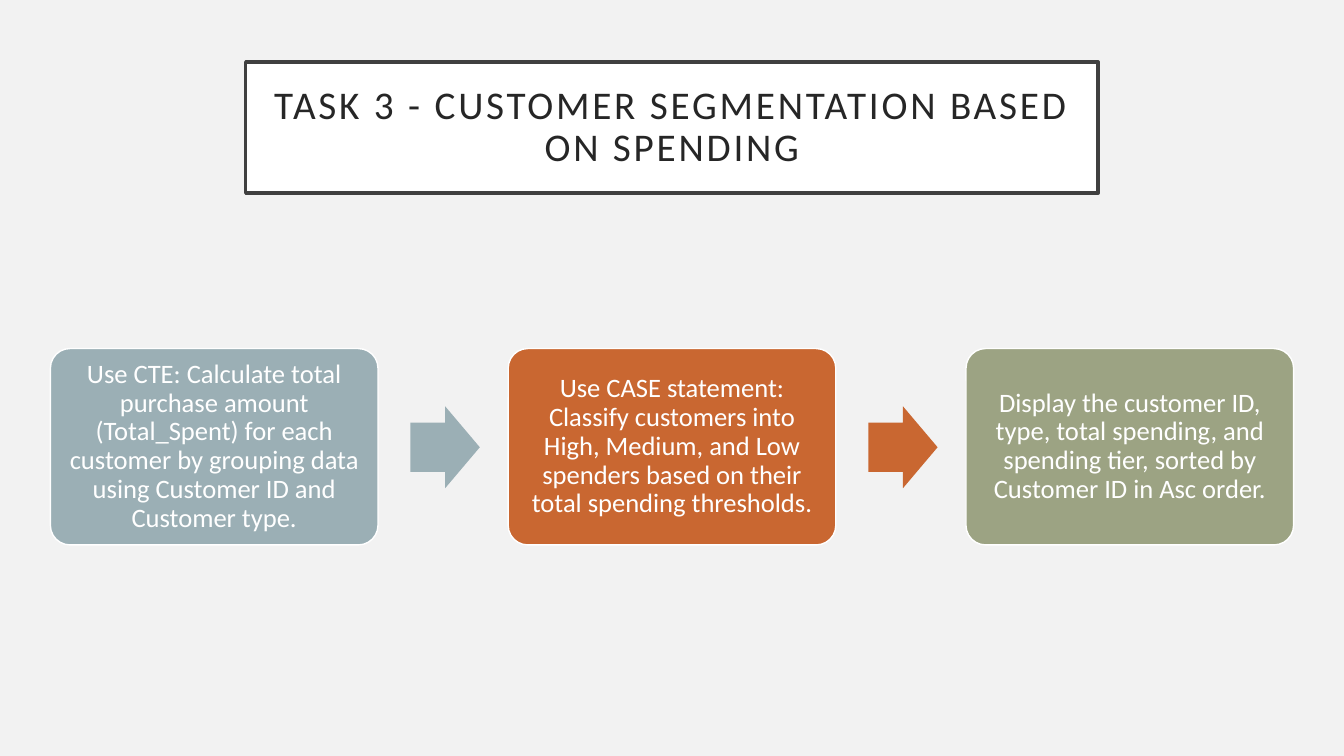
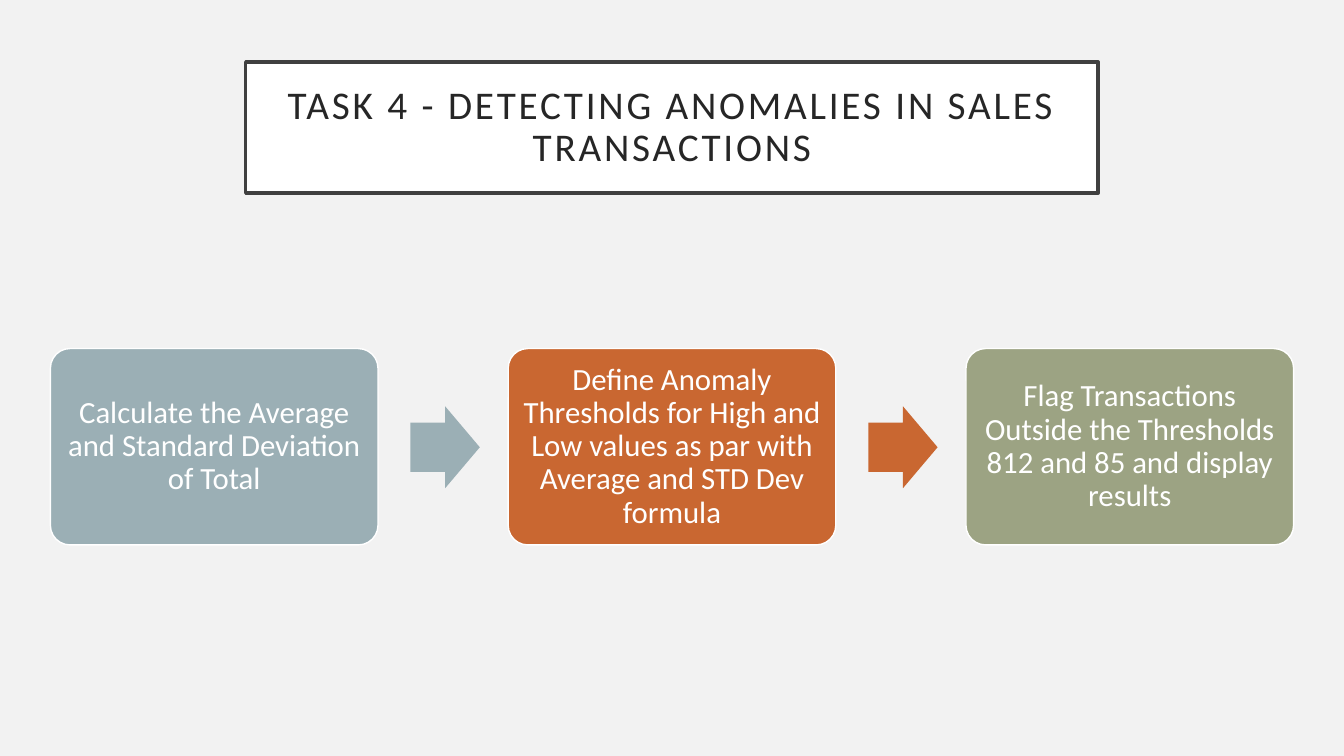
"""Build two task slides, each a framed title over a three-step process."""
from pptx import Presentation
from pptx.dml.color import RGBColor
from pptx.enum.shapes import MSO_SHAPE as Preset
from pptx.enum.text import MSO_ANCHOR as Anchor, PP_ALIGN as Align
from pptx.util import Pt

PX = 9525
BACKGROUND = RGBColor(0xF2, 0xF2, 0xF2)
WHITE = RGBColor(0xFF, 0xFF, 0xFF)
FRAME = RGBColor(0x40, 0x40, 0x40)
TITLE_INK = RGBColor(0x26, 0x26, 0x26)
STEP_COLORS = [
    RGBColor(0x9B, 0xAF, 0xB5),
    RGBColor(0xC9, 0x67, 0x31),
    RGBColor(0x9C, 0xA3, 0x83),
]

STEP_LEFT, STEP_TOP, STEP_WIDTH, STEP_HEIGHT = 48, 332, 312, 187
STEP_PITCH = 436
ARROW_WIDTH, ARROW_HEIGHT = 66, 78
ARROW_OFFSET = STEP_WIDTH + (STEP_PITCH - STEP_WIDTH - ARROW_WIDTH) // 2 + 2
ARROW_TOP = STEP_TOP + (STEP_HEIGHT - ARROW_HEIGHT) // 2 + 1

TASKS = [
    {
        "title": "TASK 3 - CUSTOMER SEGMENTATION BASED ON SPENDING",
        "size": 19,
        "inset": 8,
        "steps": [
            "Use CTE: Calculate total purchase amount (Total_Spent) for each "
            "customer by grouping data using Customer ID and Customer type.",
            "Use CASE statement: Classify customers into High, Medium, and Low "
            "spenders based on their total spending thresholds.",
            "Display the customer ID, type, total spending, and spending tier, "
            "sorted by Customer ID in Asc order.",
        ],
    },
    {
        "title": "TASK 4 - DETECTING ANOMALIES IN SALES TRANSACTIONS",
        "size": 22,
        "inset": 9,
        "steps": [
            "Calculate the Average and Standard Deviation of Total",
            "Define Anomaly Thresholds for High and Low values as par with "
            "Average and STD Dev formula",
            "Flag Transactions Outside the Thresholds 812 and 85 and display results",
        ],
    },
]


def add_block(slide, preset, box, fill, outline=None, weight=1):
    block = slide.shapes.add_shape(preset, *(length * PX for length in box))
    block.shadow.inherit = False
    block.fill.solid()
    block.fill.fore_color.rgb = fill
    if outline is None:
        block.line.fill.background()
    else:
        block.line.color.rgb = outline
        block.line.width = Pt(weight)
    return block


def write(block, text, size, color, inset):
    frame = block.text_frame
    frame_format = {"word_wrap": True, "vertical_anchor": Anchor.MIDDLE}
    for side in ("left", "top", "right", "bottom"):
        frame_format[f"margin_{side}"] = inset * PX
    for name, value in frame_format.items():
        setattr(frame, name, value)
    paragraph = frame.paragraphs[0]
    paragraph.alignment = Align.CENTER
    paragraph.line_spacing = 0.9
    run = paragraph.add_run()
    run.text = text
    for name, value in {"name": "Calibri", "size": Pt(size)}.items():
        setattr(run.font, name, value)
    run.font.color.rgb = color
    return run


deck = Presentation()
deck.slide_width, deck.slide_height = 1280 * PX, 720 * PX

for task in TASKS:
    slide = deck.slides.add_slide(deck.slide_layouts[6])
    slide.background.fill.solid()
    slide.background.fill.fore_color.rgb = BACKGROUND

    title = add_block(slide, Preset.RECTANGLE, (234, 59, 812, 125), WHITE, FRAME, 2.5)
    heading = write(title, task["title"], 28, TITLE_INK, 19)
    heading._r.get_or_add_rPr().set("spc", "200")

    for index, (text, color) in enumerate(zip(task["steps"], STEP_COLORS)):
        left = STEP_LEFT + index * STEP_PITCH
        step = add_block(slide, Preset.ROUNDED_RECTANGLE,
                         (left, STEP_TOP, STEP_WIDTH, STEP_HEIGHT), color, WHITE)
        step.adjustments[0] = 0.1
        write(step, text, task["size"], WHITE, task["inset"])
        if index < len(STEP_COLORS) - 1:
            arrow = add_block(slide, Preset.RIGHT_ARROW,
                              (left + ARROW_OFFSET, ARROW_TOP, ARROW_WIDTH, ARROW_HEIGHT),
                              color)
            arrow.adjustments[0] = 0.6
            arrow.adjustments[1] = 0.5

deck.save("out.pptx")
